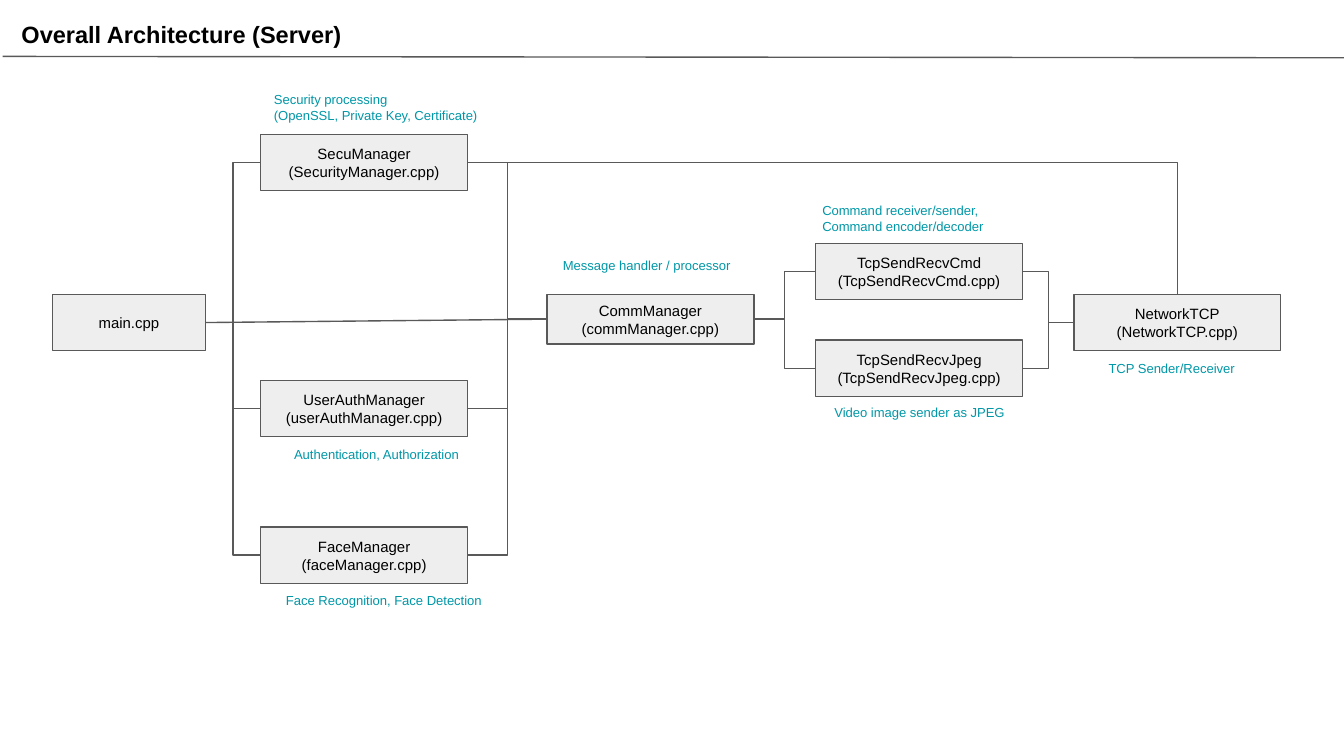
from lxml import etree
from pptx import Presentation
from pptx import util as u
from pptx.dml.color import RGBColor
from pptx.enum import shapes, text
from pptx.oxml.ns import qn

SLIDE_W = 10
SLIDE_H = SLIDE_W * 9 / 16
INK, GREY, FILL, TEAL = "000000", "595959", "EEEEEE", "0097A7"
TOP, LEFT, BOTTOM, RIGHT = range(4)
ELBOW, STRAIGHT = shapes.MSO_CONNECTOR.ELBOW, shapes.MSO_CONNECTOR.STRAIGHT
FIXED, GROW = text.MSO_AUTO_SIZE.NONE, text.MSO_AUTO_SIZE.SHAPE_TO_FIT_TEXT

# Grid lines in inches: left edges of the columns, top edges of the rows
COLS = {"main": 0.39, "managers": 1.94, "comm": 4.07, "tcp": 6.07, "network": 7.99}
ROWS = {"security": 1, "command": 1.81, "middle": 2.19, "jpeg": 2.53,
        "auth": 2.83, "face": 3.92}
BOX_W, BOX_H = 1.54, 0.42

# key: (column, row, width, height, lines)
MODULES = {
    "main": ("main", "middle", 1.14, BOX_H, ["main.cpp"]),
    "secu": ("managers", "security", BOX_W, BOX_H, ["SecuManager", "(SecurityManager.cpp)"]),
    "auth": ("managers", "auth", BOX_W, BOX_H, ["UserAuthManager", "(userAuthManager.cpp)"]),
    "comm": ("comm", "middle", BOX_W, 0.37, ["CommManager", "(commManager.cpp)"]),
    "face": ("managers", "face", BOX_W, BOX_H, ["FaceManager", "(faceManager.cpp)"]),
    "cmd": ("tcp", "command", BOX_W, BOX_H, ["TcpSendRecvCmd", "(TcpSendRecvCmd.cpp)"]),
    "net": ("network", "middle", BOX_W, BOX_H, ["NetworkTCP", "(NetworkTCP.cpp)"]),
    "jpeg": ("tcp", "jpeg", BOX_W, BOX_H, ["TcpSendRecvJpeg", "(TcpSendRecvJpeg.cpp)"]),
}

# module: (offset from its left and top edges, width, lines)
NOTES = {
    "secu": (0, -0.42, 1.73, ["Security processing", "(OpenSSL, Private Key, Certificate)"]),
    "auth": (0.15, 0.43, 1.57, ["Authentication, Authorization"]),
    "face": (0.09, 0.43, 1.73, ["Face Recognition, Face Detection"]),
    "comm": (0.02, -0.33, 1.54, ["Message handler / processor"]),
    "cmd": (-0.05, -0.4, 1.73, ["Command receiver/sender,", "Command encoder/decoder"]),
    "jpeg": (0.04, 0.42, 1.73, ["Video image sender as JPEG"]),
    "net": (0.16, 0.43, 1.33, ["TCP Sender/Receiver"]),
}

LINKS = [
    ("comm", LEFT, "main", RIGHT, STRAIGHT),
    ("secu", RIGHT, "net", TOP, ELBOW),
    ("cmd", RIGHT, "net", LEFT, ELBOW),
    ("net", LEFT, "jpeg", RIGHT, ELBOW),
    ("comm", RIGHT, "jpeg", LEFT, ELBOW),
    ("comm", RIGHT, "cmd", LEFT, ELBOW),
    ("main", RIGHT, "secu", LEFT, ELBOW),
    ("main", RIGHT, "auth", LEFT, ELBOW),
    ("main", RIGHT, "face", LEFT, ELBOW),
    ("comm", LEFT, "auth", RIGHT, ELBOW),
    ("comm", LEFT, "face", RIGHT, ELBOW),
    ("secu", RIGHT, "comm", LEFT, ELBOW),
]


def rgb(value):
    return RGBColor.from_string(value)


def inches(*values):
    return [u.Inches(v) for v in values]


def write(sp, lines, size, color, align, anchor, bold=False, fit=FIXED):
    tf = sp.text_frame
    frame = dict.fromkeys(("margin_left", "margin_top", "margin_right", "margin_bottom"),
                          u.Inches(0.1))
    frame.update(word_wrap=True, auto_size=fit, vertical_anchor=anchor)
    for name, value in frame.items():
        setattr(tf, name, value)
    for i, line in enumerate(lines):
        p = tf.paragraphs[0] if i == 0 else tf.add_paragraph()
        p.alignment = align
        r = p.add_run()
        r.text = line
        for name, value in {"name": "Arial", "size": u.Pt(size), "bold": bold}.items():
            setattr(r.font, name, value)
        r.font.color.rgb = rgb(color)


def style_line(line):
    line.color.rgb = rgb(GREY)
    line.width = u.Pt(0.75)


def add_line(s, kind, x1=0, y1=0, x2=0, y2=0):
    line = s.shapes.add_connector(kind, *inches(x1, y1, x2, y2))
    style_line(line.line)
    etree.SubElement(line._element.spPr, qn("a:effectLst"))
    return line


def add_header(s, x, y, w, h):
    title = s.shapes.title
    title.left, title.top, title.width, title.height = inches(x, y, w, h)
    write(title, ["Overall Architecture (Server)"], 12.6, INK,
          text.PP_ALIGN.LEFT, text.MSO_ANCHOR.MIDDLE, bold=True)
    add_line(s, STRAIGHT, 0.02, 0.42, 10.01, 0.43)


def add_module(s, x, y, w, h, lines):
    sp = s.shapes.add_shape(shapes.MSO_SHAPE.RECTANGLE, *inches(x, y, w, h))
    sp.shadow.inherit = False
    sp.fill.solid()
    sp.fill.fore_color.rgb = rgb(FILL)
    style_line(sp.line)
    write(sp, lines, 8, INK, text.PP_ALIGN.CENTER, text.MSO_ANCHOR.MIDDLE)
    return sp


def add_note(s, x, y, w, lines):
    sp = s.shapes.add_textbox(*inches(x, y, w, 0.2 + 0.12 * len(lines)))
    write(sp, lines, 7, TEAL, text.PP_ALIGN.LEFT, text.MSO_ANCHOR.TOP, fit=GROW)


def add_link(s, start, start_side, end, end_side, kind):
    line = add_line(s, kind)
    line.begin_connect(start, start_side)
    line.end_connect(end, end_side)
    if end_side == TOP:  # a single bend
        line._element.spPr.find(qn("a:prstGeom")).set("prst", "bentConnector2")


def add_architecture(s):
    boxes = {}
    for key, (col, row, w, h, lines) in MODULES.items():
        boxes[key] = add_module(s, COLS[col], ROWS[row], w, h, lines)
    for key, (dx, dy, w, lines) in NOTES.items():
        col, row = MODULES[key][:2]
        add_note(s, COLS[col] + dx, ROWS[row] + dy, w, lines)
    for start, start_side, end, end_side, kind in LINKS:
        add_link(s, boxes[start], start_side, boxes[end], end_side, kind)


def main():
    prs = Presentation()
    prs.slide_width, prs.slide_height = inches(SLIDE_W, SLIDE_H)
    s = prs.slides.add_slide(prs.slide_layouts[5])
    add_header(s, 0.06, 0.04, 3.88, 0.42)
    add_architecture(s)
    prs.save("out.pptx")


if __name__ == "__main__":
    main()
